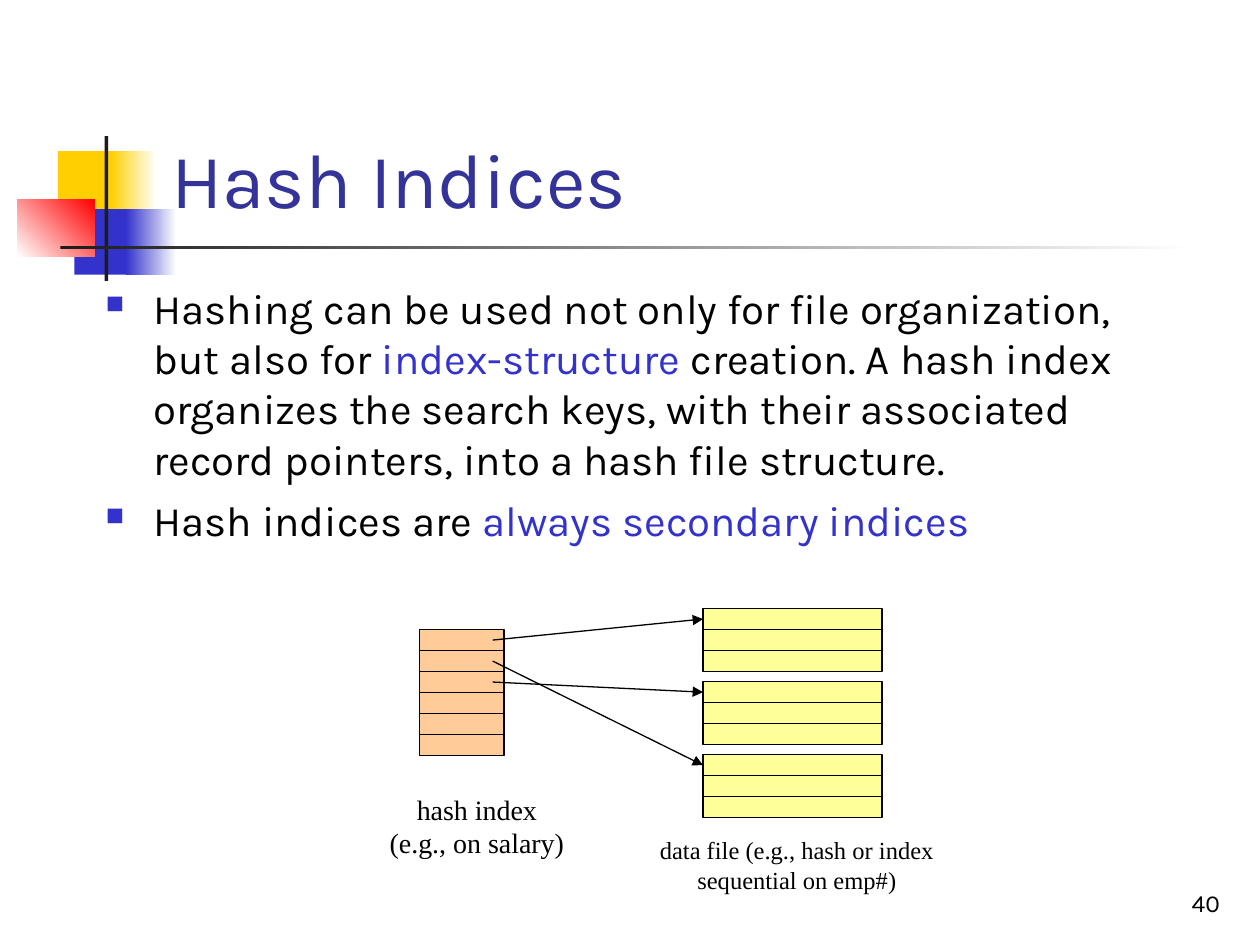
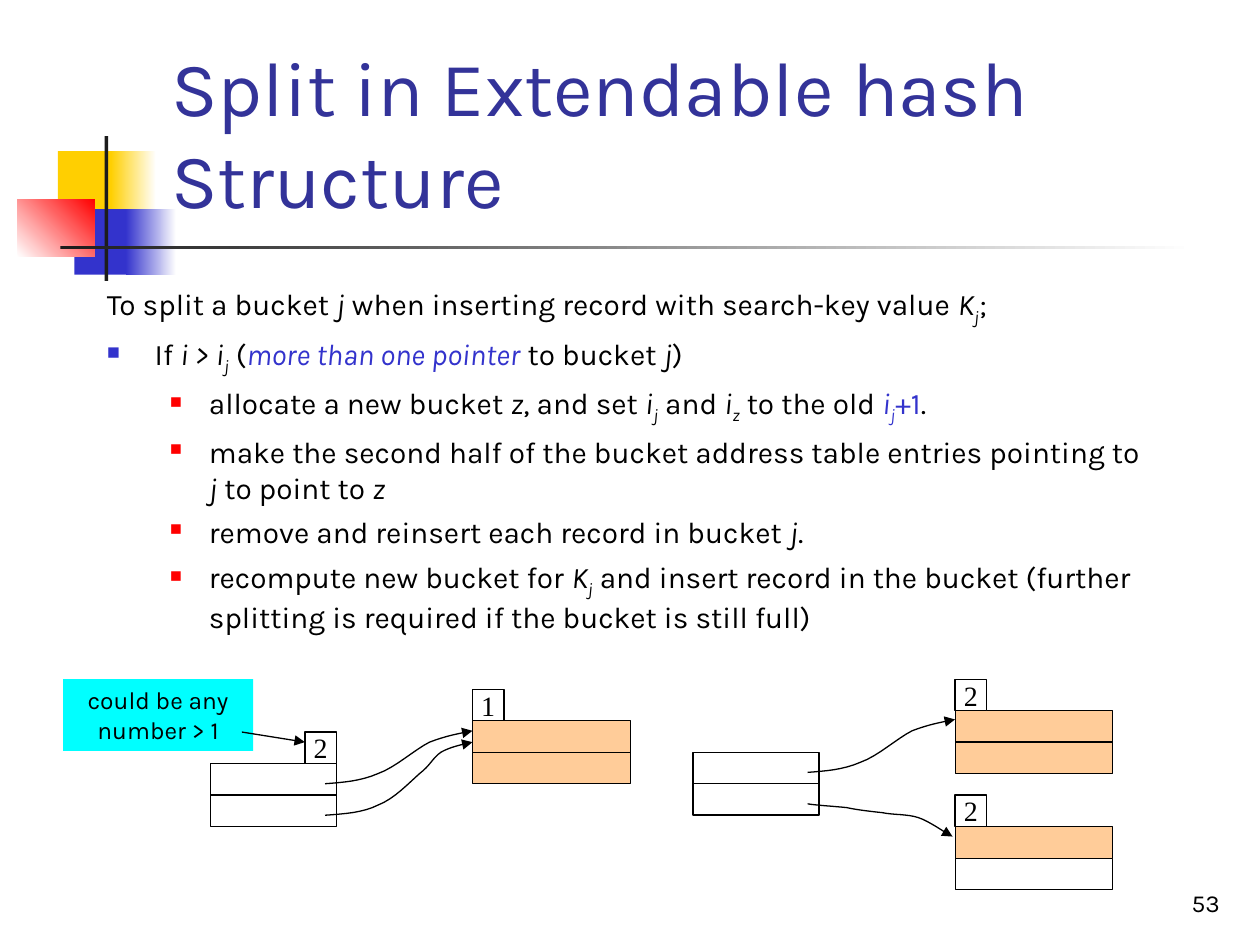
from lxml import etree
from pptx import Presentation
from pptx.dml.color import RGBColor
from pptx.enum.shapes import MSO_CONNECTOR, MSO_SHAPE
from pptx.enum.text import MSO_ANCHOR, PP_ALIGN
from pptx.oxml.ns import qn
from pptx.util import Inches, Pt

RECT = MSO_SHAPE.RECTANGLE
STRAIGHT = MSO_CONNECTOR.STRAIGHT
LEFT, CENTER, RIGHT = PP_ALIGN.LEFT, PP_ALIGN.CENTER, PP_ALIGN.RIGHT
TOP, MIDDLE, BOTTOM = MSO_ANCHOR.TOP, MSO_ANCHOR.MIDDLE, MSO_ANCHOR.BOTTOM

BLACK, WHITE, INK = "000000", "FFFFFF", "1C1C1C"
GOLD, BLUE, RED, TITLE = "FFCF01", "3333CC", "FF0000", "333399"
ORANGE, YELLOW, CYAN = "FFCC99", "FFFF99", "00FFFF"
SANS, SERIF = "Karla", "Times New Roman"

KEY = {"color": BLUE}
VAR = {"italic": True}
SUB = {"italic": True, "baseline": -25}
KEY_VAR, KEY_SUB = {**KEY, **VAR}, {**KEY, **SUB}

# Bullet levels: left margin, first-line indent, bullet colour, bullet size in %
PLAIN = (0.38, -0.38, None, None)
LEVEL1 = (0.38, -0.38, BLUE, 60)
LEVEL2 = (0.81, -0.31, RED, 55)

# Bezier segments in inches, measured from the start of the arrow
RISE = [((0.14, -0.01), (0.28, -0.02), (0.42, -0.08)),
        ((0.56, -0.13), (0.71, -0.27), (0.83, -0.33)),
        ((0.96, -0.38), (1.07, -0.4), (1.17, -0.42))]
STEEP_RISE = [((0.15, -0.01), (0.3, -0.02), (0.42, -0.08)),
              ((0.55, -0.13), (0.67, -0.26), (0.75, -0.33)),
              ((0.84, -0.4), (0.85, -0.45), (0.92, -0.5)),
              ((0.99, -0.54), (1.08, -0.56), (1.17, -0.58))]
FALL = [((0.05, 0.01), (0.21, 0.02), (0.31, 0.03)),
        ((0.4, 0.05), (0.5, 0.06), (0.59, 0.07)),
        ((0.69, 0.09), (0.79, 0.08), (0.88, 0.11)),
        ((0.97, 0.14), (1.09, 0.23), (1.15, 0.26))]


def rgb(color):
    return RGBColor.from_string(color)


def set_line(shape, width=0.75, arrow=False):
    shape.line.color.rgb = rgb(BLACK)
    shape.line.width = Pt(width)
    if arrow:
        ln = shape._element.spPr.find(qn("a:ln"))
        etree.SubElement(ln, qn("a:tailEnd"), type="triangle")


def add_rect(s, x, y, w, h, fill=None, line=None, fade=None, angle=0):
    """Rectangle; with fade, fill blends into that colour."""
    sp = s.shapes.add_shape(RECT, Inches(x), Inches(y), Inches(w), Inches(h))
    sp.shadow.inherit = False
    if fade:
        sp.fill.gradient()
        sp.fill.gradient_angle = angle
        for stop, color in zip(sp.fill.gradient_stops, (fill, fade)):
            stop.color.rgb = rgb(color)
    elif fill:
        sp.fill.solid()
        sp.fill.fore_color.rgb = rgb(fill)
    else:
        sp.fill.background()
    if line:
        set_line(sp, line)
    else:
        sp.line.fill.background()
    return sp


def add_line(s, x1, y1, x2, y2, arrow=False):
    c = s.shapes.add_connector(STRAIGHT, Inches(x1), Inches(y1),
                               Inches(x2), Inches(y2))
    set_line(c, arrow=arrow)
    etree.SubElement(c._element.spPr, qn("a:effectLst"))


def add_curve_arrow(s, x, y, segments, steps=8):
    points, start = [], (0, 0)
    for c1, c2, end in segments:
        for t in (i / steps for i in range(1, steps + 1)):
            u = 1 - t
            px, py = (u**3 * a + 3 * u * u * t * b + 3 * u * t * t * c + t**3 * d
                      for a, b, c, d in zip(start, c1, c2, end))
            points.append((Inches(x + px), Inches(y + py)))
        start = end
    builder = s.shapes.build_freeform(Inches(x), Inches(y))
    builder.add_line_segments(points, close=False)
    sp = builder.convert_to_shape()
    sp.shadow.inherit = False
    sp.fill.background()
    set_line(sp, arrow=True)


def set_bullet(p, level):
    margin, indent, color, size = level
    pPr = p._p.get_or_add_pPr()
    pPr.set("marL", str(Inches(margin)))
    pPr.set("indent", str(Inches(indent)))
    if color:
        clr = etree.SubElement(pPr, qn("a:buClr"))
        etree.SubElement(clr, qn("a:srgbClr"), val=color)
        etree.SubElement(pPr, qn("a:buSzPct"), val=str(size * 1000))
        etree.SubElement(pPr, qn("a:buChar"), char="■")


def add_run(p, text, size, font, color=BLACK, italic=False, baseline=0):
    r = p.add_run()
    r.text = text
    r.font.size, r.font.name, r.font.italic = Pt(size), font, italic
    r.font.color.rgb = rgb(color)
    if baseline:
        r._r.get_or_add_rPr().set("baseline", str(baseline * 1000))


def write(sp, paragraphs, size, font=SANS, color=BLACK, align=LEFT, anchor=TOP,
          wrap=True, before=0, levels=None):
    """Fill a shape; a paragraph is a string or a list of strings and (text, format)."""
    tf = sp.text_frame
    tf.word_wrap, tf.vertical_anchor = wrap, anchor
    for i, runs in enumerate(paragraphs):
        p = tf.add_paragraph() if i else tf.paragraphs[0]
        p.alignment = align
        if levels:
            set_bullet(p, levels[i])
        if i:
            p.space_before = Pt(before)
        for run in [runs] if isinstance(runs, str) else runs:
            text, style = (run, {}) if isinstance(run, str) else run
            add_run(p, text, size, font, **{"color": color, **style})


def add_text(s, x, y, w, h, paragraphs, size, **fmt):
    box = s.shapes.add_textbox(Inches(x), Inches(y), Inches(w), Inches(h))
    write(box, paragraphs, size, **fmt)


def new_slide(prs, title, number):
    """Slide with the shared ornament, title and page number."""
    s = prs.slides.add_slide(prs.slide_layouts[6])
    add_rect(s, 0.46, 1.2, 0.48, 0.52, GOLD)
    add_rect(s, 0.88, 1.2, 0.36, 0.52, GOLD, fade=WHITE)
    add_rect(s, 0.59, 1.66, 0.46, 0.52, BLUE)
    add_rect(s, 1, 1.66, 0.4, 0.52, BLUE, fade=WHITE)
    add_rect(s, 0.14, 1.58, 0.61, 0.46, WHITE, fade=RED, angle=45)
    add_rect(s, 0.83, 1.08, 0.03, 1.15, INK)
    add_rect(s, 0.48, 1.95, 9, 0.03, INK, fade=WHITE)
    add_text(s, 7.7, 6.83, 2.08, 0.5, [number], 14, align=RIGHT, anchor=BOTTOM)
    add_text(s, 1.26, 0.23, 8.52, 1.6, [title], 44, color=TITLE, anchor=BOTTOM)
    return s


def add_records(s, x, y, w, h, rows, fill=None, line=0.75):
    """Box divided into equal rows."""
    add_rect(s, x, y, w, h, fill, line)
    for i in range(1, rows):
        add_line(s, x, y + i * h / rows, x + w, y + i * h / rows)


def add_depth(s, x, y, depth):
    sp = add_rect(s, x, y, 0.25, 0.25, WHITE, 0.75)
    write(sp, [depth], 16, font=SERIF, align=CENTER, anchor=MIDDLE, wrap=False)


def add_bucket(s, x, y, depth, blocks):
    """Depth label above blocks of (fill, rows)."""
    top = y + 0.25
    for fill, rows in blocks:
        add_records(s, x, top, 1.25, 0.25 * rows, rows, fill, 0.5)
        top += 0.25 * rows
    add_depth(s, x, y, depth)


def add_address_table(s, x, y, curves):
    """Two-entry table with one curved pointer per entry."""
    add_records(s, x, y, 1, 0.5, 2)
    for i, curve in enumerate(curves):
        add_curve_arrow(s, x + 0.91, y + 0.16 + 0.25 * i, curve)


def add_index_diagram(s, x, y):
    row, file_x, file_gap = 0.5 / 3, x + 2.25, 0.58
    for i in range(3):
        add_records(s, file_x, y + i * file_gap, 1.42, 0.5, 3, YELLOW)
    for i in range(2):
        add_records(s, x, y + row + i * 0.5, 0.67, 0.5, 3, ORANGE)
    for entry, block in enumerate((0, 2, 1)):
        add_line(s, x + 0.58, y + (entry + 1.5) * row,
                 file_x, y + block * file_gap + row / 2, arrow=True)
    add_text(s, x - 0.5, y + 1.41, 1.91, 0.64, ["hash index", "(e.g., on salary)"],
             16, font=SERIF, align=CENTER)
    add_text(s, x + 1.66, y + 1.75, 2.67, 0.57,
             ["data file (e.g., hash or index sequential on emp#)"],
             14, font=SERIF, align=CENTER)


def add_before_split(s, x, y):
    add_address_table(s, x + 1.17, y + 0.67, (RISE, STEEP_RISE))
    add_bucket(s, x + 3.25, y + 0.08, "1", [(ORANGE, 2)])
    add_depth(s, x + 1.92, y + 0.42, "2")
    note = add_rect(s, x, y, 1.51, 0.57, CYAN)
    write(note, ["could be any number > 1"], 14, align=CENTER)
    add_line(s, x + 1.42, y + 0.42, x + 1.92, y + 0.5, arrow=True)


def add_after_split(s, x, y):
    add_address_table(s, x, y + 0.58, (RISE, FALL))
    add_bucket(s, x + 2.08, y, "2", [(ORANGE, 2)])
    add_bucket(s, x + 2.08, y + 0.92, "2", [(ORANGE, 1), (WHITE, 1)])


def hash_indices_slide(prs):
    s = new_slide(prs, "Hash Indices", "40")
    add_text(s, 0.74, 2.19, 8.5, 2.44, [
        ["Hashing can be used not only for file organization, but also for ",
         ("index-structure", KEY),
         " creation. A hash index organizes the search keys, with their associated "
         "record pointers, into a hash file structure."],
        ["Hash indices are ", ("always secondary indices", KEY)],
    ], 24, before=6, levels=[LEVEL1] * 2)
    add_index_diagram(s, 3.33, 4.83)


def split_slide(prs):
    s = new_slide(prs, "Split in Extendable hash Structure", "53")
    add_text(s, 0.75, 2.22, 8.5, 2.97, [
        ["To split a bucket ", ("j", VAR), " when inserting record with search-key value ",
         ("K", VAR), ("j", SUB), ";"],
        ["If ", ("i > i", VAR), ("j", SUB), " (", ("more than one pointer", KEY_VAR),
         " to bucket ", ("j", VAR), ")"],
        ["allocate a new bucket ", ("z", VAR), ", and set ", ("i", VAR), ("j", SUB),
         " and ", ("i", VAR), ("z", SUB), " to the old ", ("i", KEY_VAR),
         ("j", KEY_SUB), ("+1", KEY), "."],
        ["make the second half of the bucket address table entries pointing to ",
         ("j", VAR), " to point to ", ("z", VAR)],
        ["remove and reinsert each record in bucket ", ("j", VAR), "."],
        ["recompute new bucket for ", ("K", VAR), ("j", SUB),
         " and insert record in the bucket (further splitting is required if the "
         "bucket is still full)"],
    ], 17, before=5, levels=[PLAIN, LEVEL1] + [LEVEL2] * 4)
    add_before_split(s, 0.5, 5.39)
    add_after_split(s, 5.5, 5.39)


def main():
    prs = Presentation()
    prs.slide_width, prs.slide_height = Inches(10), Inches(7.5)
    hash_indices_slide(prs)
    split_slide(prs)
    prs.save("out.pptx")


if __name__ == "__main__":
    main()
